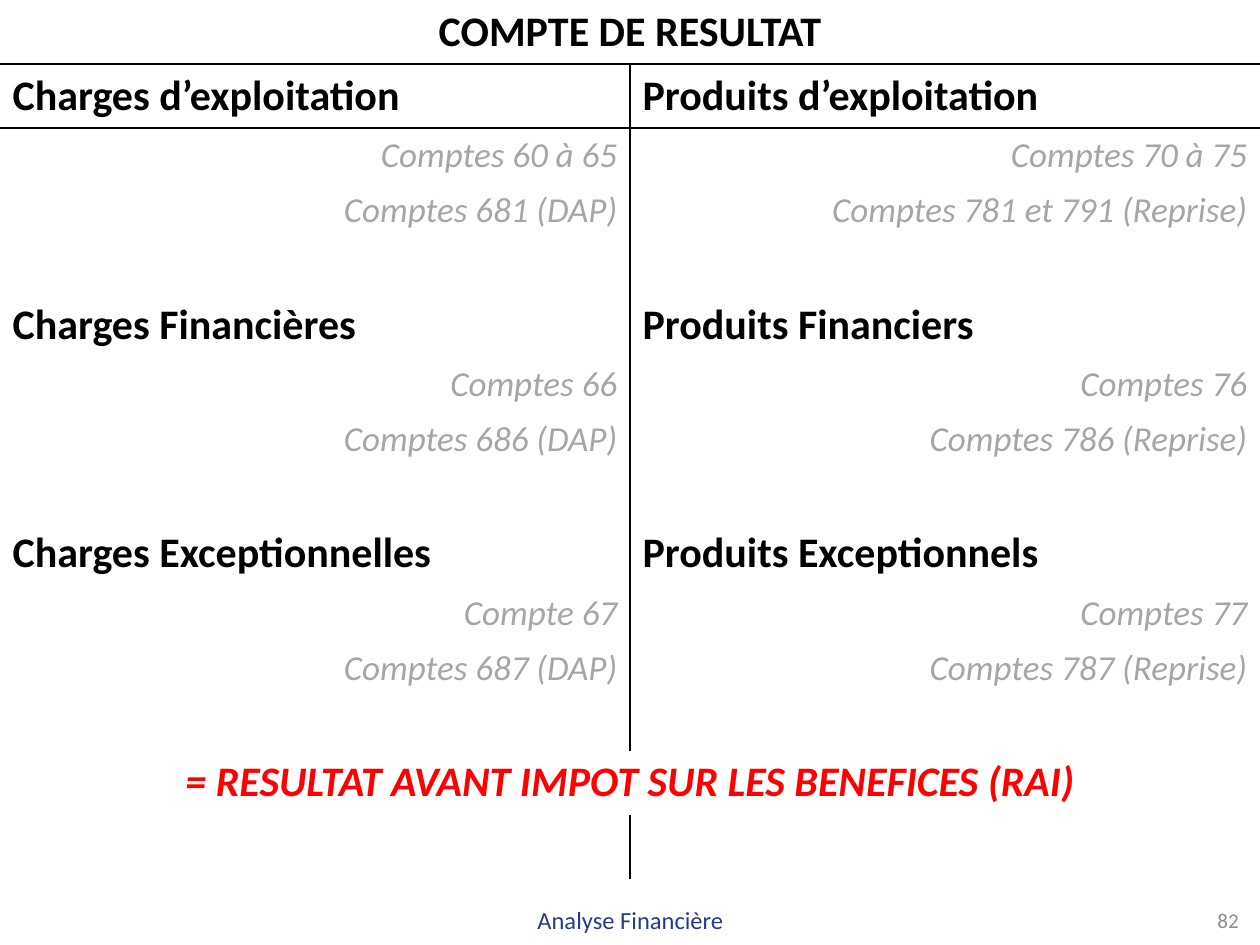
from dataclasses import dataclass

from lxml import etree
from pptx import Presentation, util as u
from pptx.dml.color import RGBColor
from pptx.enum import text
from pptx.oxml import ns

PX = 914400 / 126
BLACK = RGBColor(0, 0, 0)
WHITE = RGBColor(255, 255, 255)
RED = RGBColor(255, 0, 0)
GREY = RGBColor(166, 166, 166)
DIM = RGBColor(140, 140, 140)
NAVY = RGBColor(38, 59, 134)
PLAIN = "{2D5ABB26-0587-4C30-8999-92F81FD0307C}"
LEFT, MID, RIGHT = text.PP_ALIGN.LEFT, text.PP_ALIGN.CENTER, text.PP_ALIGN.RIGHT


@dataclass(frozen=True)
class Style:
    size: int
    color: RGBColor
    align: text.PP_ALIGN
    bold: bool = False
    slant: bool = False


@dataclass(frozen=True)
class Row:
    style: Style
    words: tuple[str, ...] = ()
    tall: int = 64


@dataclass(frozen=True)
class Note:
    left: int
    wide: int
    words: str
    style: Style


TITLE = Style(24, BLACK, MID, bold=True)
HEAD = Style(24, BLACK, LEFT, bold=True)
ITEM = Style(20, GREY, RIGHT, slant=True)
TOTAL = Style(24, RED, MID, bold=True, slant=True)

GROUPS = (
    (("Charges d’exploitation", "Produits d’exploitation"),
     ("Comptes 60 à 65", "Comptes 70 à 75"),
     ("Comptes 681 (DAP)", "Comptes 781 et 791 (Reprise)")),
    (("Charges Financières", "Produits Financiers"),
     ("Comptes 66", "Comptes 76"),
     ("Comptes 686 (DAP)", "Comptes 786 (Reprise)")),
    (("Charges Exceptionnelles", "Produits Exceptionnels"),
     ("Compte 67", "Comptes 77"),
     ("Comptes 687 (DAP)", "Comptes 787 (Reprise)")),
)

NOTES = (
    Note(958, 293, "82", Style(12, DIM, RIGHT)),
    Note(431, 399, "Analyse Financière", Style(14, NAVY, MID)),
)


def px(count: int) -> u.Emu:
    return u.Emu(round(count * PX))


def write(frame, words: str, style: Style) -> None:
    frame.text = words
    para = frame.paragraphs[0]
    para.alignment = style.align
    for run in para.runs:
        font = run.font
        font.name = "Calibri"
        font.size = u.Pt(style.size)
        font.bold = style.bold
        font.italic = style.slant
        font.color.rgb = style.color


def edge(cell, sides: str) -> None:
    props = cell._tc.get_or_add_tcPr()
    for side in sides:
        line = etree.SubElement(props, ns.qn(f"a:ln{side}"), w=str(u.Pt(1)))
        fill = etree.SubElement(line, ns.qn("a:solidFill"))
        etree.SubElement(fill, ns.qn("a:srgbClr"), val=str(BLACK))


def plan() -> list[Row]:
    rows = [Row(TITLE, ("COMPTE DE RESULTAT",))]
    for head, *items in GROUPS:
        rows.append(Row(HEAD, head))
        rows += [Row(ITEM, pair, 55) for pair in items]
        rows.append(Row(ITEM, tall=55))
    rows.append(Row(TOTAL, ("= RESULTAT AVANT IMPOT SUR LES BENEFICES (RAI)",)))
    rows.append(Row(HEAD))
    return rows


def ledger(slide) -> None:
    rows = plan()
    high = sum(row.tall for row in rows)
    table = slide.shapes.add_table(len(rows), 2, 0, 0, px(1260), px(high)).table
    table.first_row = table.horz_banding = False
    table._tbl.tblPr.find(ns.qn("a:tableStyleId")).text = PLAIN
    for num, row in enumerate(rows):
        table.rows[num].height = px(row.tall)
        pair = table.cell(num, 0), table.cell(num, 1)
        whole = len(row.words) == 1
        if whole:
            pair[0].merge(pair[1])
        for cell, side in zip(pair, "RL"):
            if not whole:
                edge(cell, side + ("T" if num == 1 else ""))
            elif num == 0:
                edge(cell, "B")
            cell.fill.solid()
            cell.fill.fore_color.rgb = WHITE
        for cell, words in zip(pair, row.words):
            write(cell.text_frame, words, row.style)


def label(slide, note: Note) -> None:
    frame = slide.shapes.add_textbox(px(note.left), px(895), px(note.wide), px(50)).text_frame
    frame.word_wrap = True
    frame.vertical_anchor = text.MSO_ANCHOR.MIDDLE
    write(frame, note.words, note.style)


def main() -> None:
    deck = Presentation()
    deck.slide_width, deck.slide_height = px(1260), px(945)
    slide = deck.slides.add_slide(deck.slide_layouts[6])
    for note in NOTES:
        label(slide, note)
    ledger(slide)
    deck.save("out.pptx")


if __name__ == "__main__":
    main()
